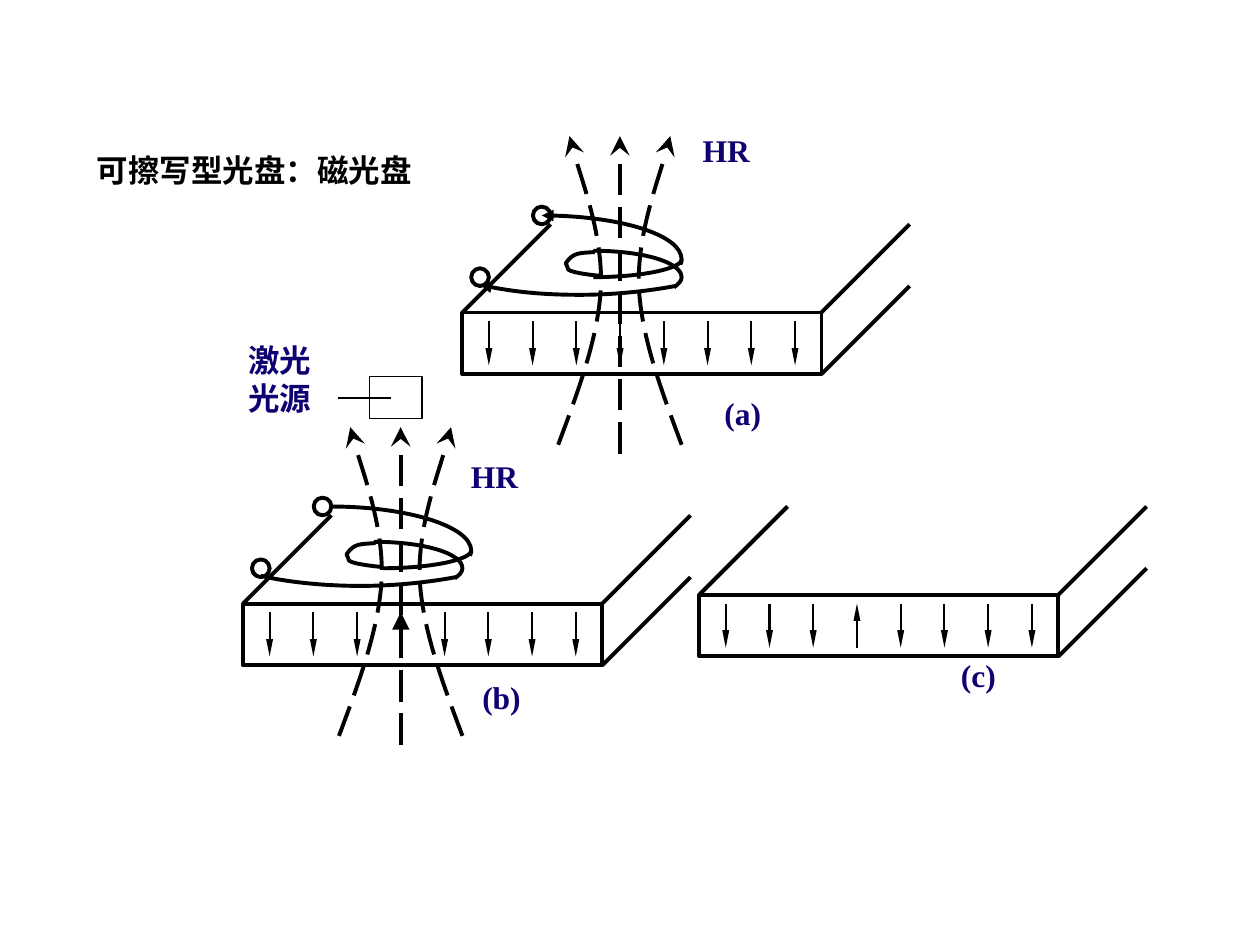
from pptx import Presentation, util as u
from pptx.dml.color import RGBColor
from pptx.enum import dml, shapes as sh, text as tx
from pptx.oxml.ns import qn
from lxml import etree

BLACK, NAVY = "000000", "0E0171"
BOLD, THIN, FINE = 2.25, 1.16, 0.75

# Arrowheads: type, width, length
TIP = ("triangle", "med", "med")
SLIM = ("triangle", "sm", "lg")
BROAD = ("triangle", "lg", "lg")
BARB = ("stealth", "lg", "lg")

# Slab: width, height, and the slant of its receding edges
WIDE, HIGH, DEEP = 2.85, 0.49, 0.7
SPINS, FLIP, INSET = 8, 3, 0.21

# left, top, has coil, coil arrowheads, shift of the outer turns, flipped spin
SLABS = [
    (3.67, 2.48, True, TIP, 0, None),
    (1.93, 4.79, True, None, 0.07, BROAD),
    (5.55, 4.72, False, None, 0, SLIM),
]

# Coil parts, measured from the slab's top left corner
RINGS = [(0.07, -0.35), (0.56, -0.84)]
# outer turn?, arrowhead?, start point and Bezier triples
COIL = [
    (True, True, [(0.63, -0.77), (1.24, -0.77), (1.74, -0.61), (1.74, -0.42),
                  (1.74, -0.41), (1.74, -0.4), (1.73, -0.38)]),
    (True, False, [(1.04, -0.28), (1.43, -0.28), (1.74, -0.35), (1.74, -0.42)]),
    (False, True, [(0.14, -0.22), (0.35, -0.17), (0.64, -0.14), (0.93, -0.14),
                   (1.21, -0.14), (1.48, -0.17), (1.69, -0.21)]),
    (False, False, [(1.04, -0.49), (1.43, -0.49), (1.74, -0.4), (1.74, -0.28),
                    (1.74, -0.25), (1.72, -0.23), (1.68, -0.2)]),
    (False, False, [(1.05, -0.48), (0.93, -0.47), (0.88, -0.48), (0.82, -0.39),
                    (0.83, -0.38), (0.83, -0.36), (0.84, -0.34),
                    (0.88, -0.31), (1.09, -0.29), (1.11, -0.29)]),
]
AXIS = 1.25
FIELD = [(0.76, 1.05), (0.92, 0.62), (1.08, 0.2), (1.1, -0.21),
         (1.11, -0.62), (0.89, -1.21), (0.85, -1.4)]

# words, left, top, width, height, colour, font, centred, wrapped
SERIF, SANS = "Times New Roman", "Arial"
LABELS = [
    ("HR", 5.35, 0.99, 0.83, 0.4, NAVY, SERIF, True, True),
    ("HR", 3.51, 3.58, 0.83, 0.4, NAVY, SERIF, True, True),
    ("激光光源", 1.76, 2.66, 0.92, 0.7, NAVY, SERIF, True, True),
    ("(c)", 7.35, 5.16, 0.83, 0.4, NAVY, SERIF, True, True),
    ("(b)", 3.72, 5.33, 0.52, 0.4, NAVY, SERIF, True, False),
    ("(a)", 5.64, 3.08, 0.51, 0.4, NAVY, SERIF, True, False),
    ("可擦写型光盘：磁光盘", 0.67, 1.15, 3.23, 0.4, BLACK, SANS, False, True),
]

deck = Presentation()
deck.slide_width, deck.slide_height = u.Inches(10), u.Inches(7.5)
page = deck.slides.add_slide(deck.slide_layouts[6]).shapes


def color(code):
    return RGBColor.from_string(code)


def stroke(item, size, dash=False, head=None, tail=None):
    line = item.line
    line.color.rgb = color(BLACK)
    line.width = u.Pt(size)
    if dash:
        line.dash_style = dml.MSO_LINE.LONG_DASH
    ln = item._element.spPr.find(qn("a:ln"))
    for tag, tip in (("a:headEnd", head), ("a:tailEnd", tail)):
        if tip:
            end = etree.SubElement(ln, qn(tag))
            for key, value in zip(("type", "w", "len"), tip):
                end.set(key, value)


def outline(kind, x, y, w, h, size):
    item = page.add_shape(kind, *map(u.Inches, (x, y, w, h)))
    item.shadow.inherit = False
    item.fill.background()
    stroke(item, size)


def link(x1, y1, x2, y2, size, **ends):
    item = page.add_connector(sh.MSO_CONNECTOR.STRAIGHT,
                              *map(u.Inches, (x1, y1, x2, y2)))
    stroke(item, size, **ends)
    etree.SubElement(item._element.spPr, qn("a:effectLst"))


def curve(knots, x, y, **ends):
    dots = [(u.Inches(x + a), u.Inches(y + b)) for a, b in knots]
    pen = page.build_freeform(*dots[0])
    pen.add_line_segments(dots[1:], close=False)
    item = pen.convert_to_shape()
    # Every three straight segments become one Bezier segment
    legs = list(item._element.iter(qn("a:lnTo")))
    for i in range(0, len(legs), 3):
        bend = etree.Element(qn("a:cubicBezTo"))
        legs[i].addprevious(bend)
        for leg in legs[i:i + 3]:
            bend.append(leg[0])
            leg.getparent().remove(leg)
    item.shadow.inherit = False
    item.fill.background()
    stroke(item, BOLD, **ends)


def slab(x, y, flip):
    outline(sh.MSO_SHAPE.RECTANGLE, x, y, WIDE, HIGH, BOLD)
    for a, b in ((0, 0), (WIDE, 0), (WIDE, HIGH)):
        link(x + a, y + b, x + a + DEEP, y + b - DEEP, BOLD)
    # Magnetic domains, evenly spaced
    for i in range(SPINS):
        at = x + INSET + i * (WIDE - 2 * INSET) / (SPINS - 1)
        top, low = y + 0.07, y + 0.42
        if flip and i == FLIP:
            link(at, low, at, top, THIN, tail=flip)
        else:
            link(at, top, at, low, THIN, tail=SLIM)


def coil(x, y, head, shift):
    for a, b in RINGS:
        outline(sh.MSO_SHAPE.FLOWCHART_CONNECTOR, x + a, y + b, 0.14, 0.14, BOLD)
    for outer, tip, knots in COIL:
        curve(knots, x + shift * outer, y, head=head if tip else None)
    # Field lines: one straight, two mirrored about the axis
    link(x + AXIS, y + 1.12, x + AXIS, y - 1.4, BOLD, dash=True, tail=BARB)
    for knots in (FIELD, [(2 * AXIS - a, b) for a, b in FIELD]):
        curve(knots, x, y, dash=True, tail=BARB)


def label(words, x, y, w, h, tint, face, mid, wrap):
    frame = page.add_textbox(*map(u.Inches, (x, y, w, h))).text_frame
    frame.word_wrap = wrap
    frame.auto_size = tx.MSO_AUTO_SIZE.SHAPE_TO_FIT_TEXT
    para = frame.paragraphs[0]
    para.alignment = tx.PP_ALIGN.CENTER if mid else tx.PP_ALIGN.LEFT
    run = para.add_run()
    run.text = words
    font = run.font
    font.name, font.size, font.bold = face, u.Pt(18), True
    font.color.rgb = color(tint)


# Slabs with their coils
for x, y, wound, head, shift, flip in SLABS:
    slab(x, y, flip)
    if wound:
        coil(x, y, head, shift)

# Laser source
outline(sh.MSO_SHAPE.RECTANGLE, 2.93, 2.99, 0.42, 0.33, FINE)
link(3.1, 3.16, 2.68, 3.16, FINE)

# Words
for row in LABELS:
    label(*row)

deck.save("out.pptx")
